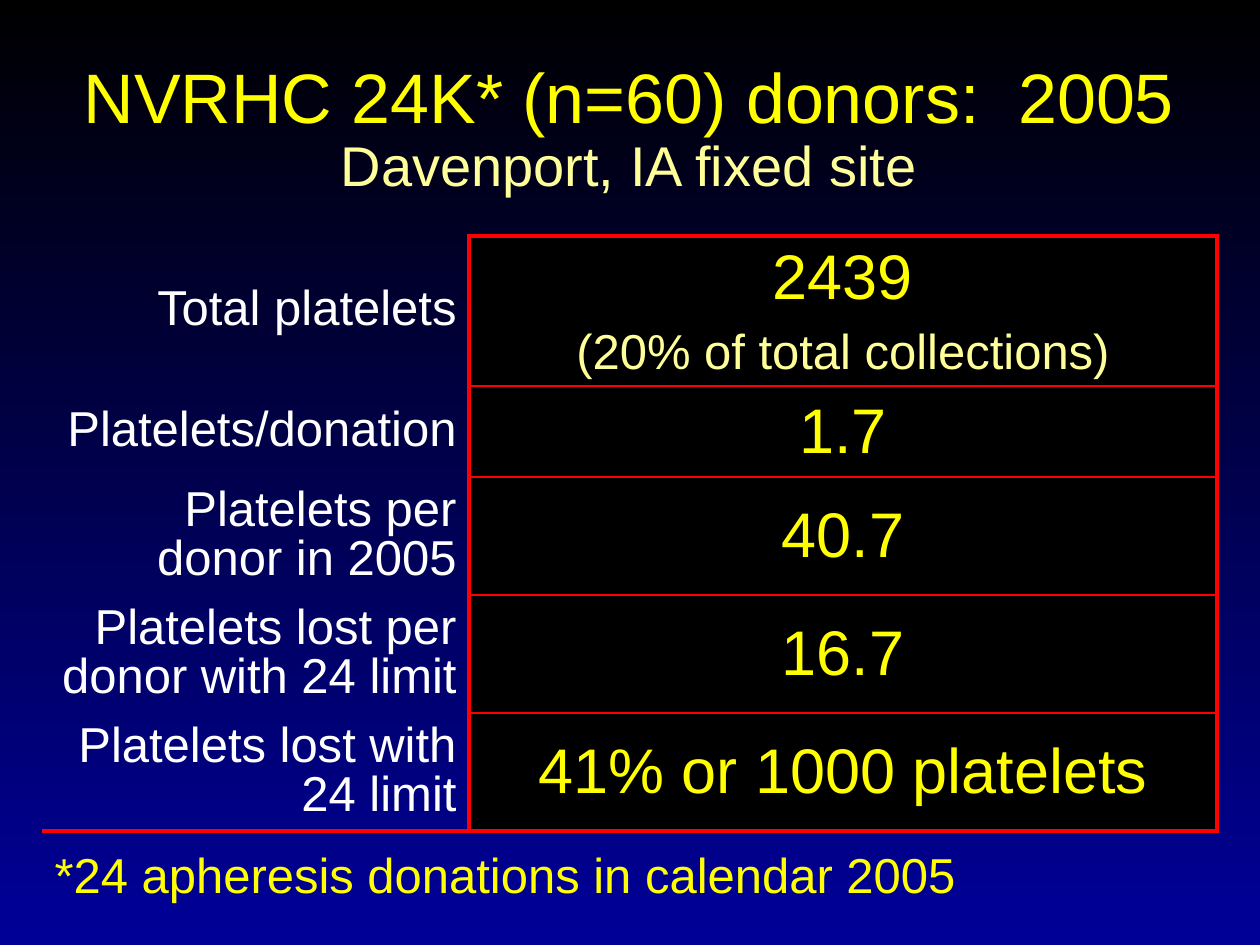
from typing import NamedTuple

from lxml import etree
from pptx import Presentation
from pptx import util as u
from pptx.dml.color import RGBColor
from pptx.enum import text
from pptx.oxml.ns import qn

COLORS = {
    "top": "000000", "bottom": "000099", "cell": "000000", "rule": "FF0000",
    "label": "FFFFFF", "value": "FFFF00", "note": "FFFF99",
}
FONT = "Arial"
NO_GRID_STYLE = "{2D5ABB26-0587-4C30-8999-92F81FD0307C}"
THICK, THIN = 2.25, 1
LEFT, CENTER, RIGHT = (
    text.PP_ALIGN.LEFT, text.PP_ALIGN.CENTER, text.PP_ALIGN.RIGHT)


class Row(NamedTuple):
    label: str
    value: str
    height: int
    size: int = 36
    color: str = "value"
    top: float = THIN
    bottom: float = THIN


ROWS = [
    Row("Total platelets", "2439", 84, top=THICK, bottom=0),
    Row("", "(20% of total collections)", 66, 28, "note", top=0),
    Row("Platelets/donation", "1.7", 91),
    Row("Platelets per donor in 2005", "40.7", 118),
    Row("Platelets lost per donor with 24 limit", "16.7", 118),
    Row("Platelets lost with 24 limit", "41% or 1000 platelets", 118,
        bottom=THICK),
]
FOOTNOTE = "*24 apheresis donations in calendar 2005"
FOOTNOTE_HEIGHT = 91
COLUMNS = (427, 748)


def px(n: int) -> int:
    return round(n * 914400 / 126)


def rgb(name: str) -> RGBColor:
    return RGBColor.from_string(COLORS[name])


def format_run(r, size: int, color: str) -> None:
    r.font.name = FONT
    r.font.size = u.Pt(size)
    r.font.color.rgb = rgb(color)


def fill_cell(cell, words: str, size: int, color: str, align,
              spacing: float = 1.0) -> None:
    cell.text_frame.text = words
    cell.vertical_anchor = text.MSO_ANCHOR.MIDDLE
    p = cell.text_frame.paragraphs[0]
    p.alignment, p.line_spacing = align, spacing
    for r in p.runs:
        format_run(r, size, color)


def add_borders(cell, **widths: float) -> None:
    """Draw the given sides (L, R, T, B) with widths in points."""
    props = cell._tc.get_or_add_tcPr()
    sides = [side for side in "LRTB" if widths.get(side)]
    for i, side in enumerate(sides):
        ln = etree.Element(qn(f"a:ln{side}"), w=str(u.Pt(widths[side])))
        fill = etree.SubElement(ln, qn("a:solidFill"))
        etree.SubElement(fill, qn("a:srgbClr"), val=COLORS["rule"])
        props.insert(i, ln)


def set_background(s) -> None:
    fill = s.background.fill
    fill.gradient()
    fill.gradient_angle = 270
    for stop, position, name in zip(
            fill.gradient_stops, (0, 1), ("top", "bottom")):
        stop.position = position
        stop.color.rgb = rgb(name)


def add_title(s) -> None:
    sp = s.shapes.title
    sp.left, sp.top, sp.width, sp.height = map(px, (46, 73, 1166, 116))
    tf = sp.text_frame
    tf.text = "NVRHC 24K* (n=60) donors:  2005\vDavenport, IA fixed site"
    tf.word_wrap = True
    tf.auto_size = text.MSO_AUTO_SIZE.NONE
    tf.vertical_anchor = text.MSO_ANCHOR.MIDDLE
    tf.margin_left = tf.margin_right = tf.margin_top = tf.margin_bottom = 0
    p = tf.paragraphs[0]
    p.alignment, p.line_spacing = CENTER, 0.9
    for r, size, color in zip(p.runs, (40, 32), ("value", "note")):
        format_run(r, size, color)


def add_donor_table(s) -> None:
    heights = [row.height for row in ROWS] + [FOOTNOTE_HEIGHT]
    table = s.shapes.add_table(
        len(heights), 2, px(42), px(236), px(sum(COLUMNS)),
        px(sum(heights))).table
    table.first_row = table.horz_banding = False
    table._tbl.tblPr.find(qn("a:tableStyleId")).text = NO_GRID_STYLE
    for column, width in zip(table.columns, COLUMNS):
        column.width = px(width)
    for table_row, height in zip(table.rows, heights):
        table_row.height = px(height)
    for cell in table.iter_cells():
        cell.fill.background()

    table.cell(0, 0).merge(table.cell(1, 0))
    for i, row in enumerate(ROWS):
        if row.label:
            fill_cell(table.cell(i, 0), row.label, 28, "label", RIGHT, 0.9)
        value = table.cell(i, 1)
        value.margin_top = value.margin_bottom = 0
        fill_cell(value, row.value, row.size, row.color, CENTER)
        value.fill.solid()
        value.fill.fore_color.rgb = rgb("cell")
        add_borders(value, L=THICK, R=THICK, T=row.top, B=row.bottom)

    last = len(ROWS)
    footnote = table.cell(last, 0)
    footnote.merge(table.cell(last, 1))
    fill_cell(footnote, FOOTNOTE, 28, "value", LEFT)
    add_borders(footnote, T=THICK)


def main() -> None:
    prs = Presentation()
    prs.slide_width, prs.slide_height = px(1260), px(945)
    s = prs.slides.add_slide(prs.slide_layouts[5])
    set_background(s)
    add_title(s)
    add_donor_table(s)
    prs.save("out.pptx")


if __name__ == "__main__":
    main()
